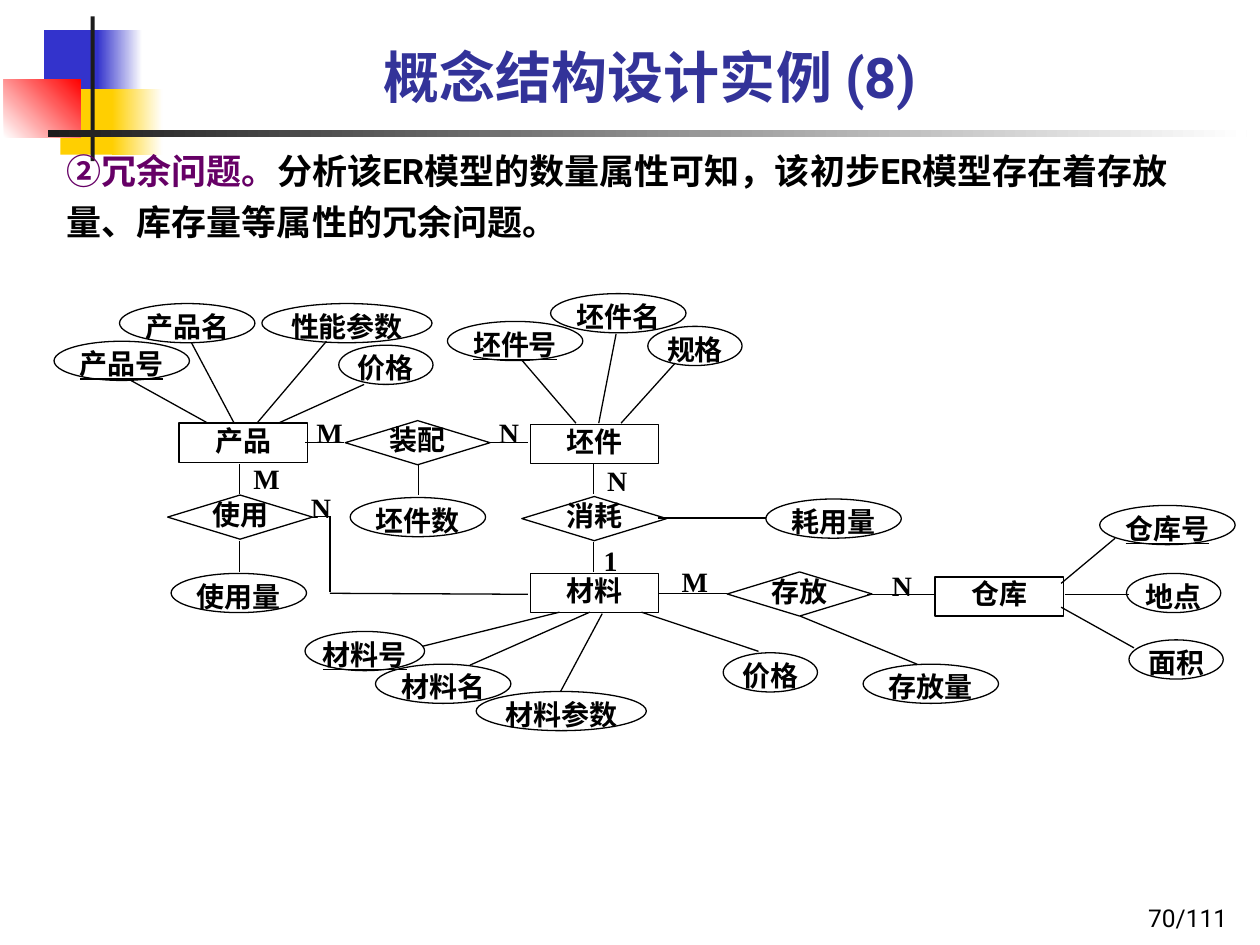
from pptx import Presentation
from pptx.dml.color import RGBColor
from pptx.enum.shapes import MSO_CONNECTOR, MSO_SHAPE
from pptx.enum.text import MSO_ANCHOR, MSO_AUTO_SIZE, PP_ALIGN
from pptx.oxml.ns import qn
from pptx.util import Cm, Pt
from lxml.etree import SubElement

BLACK = RGBColor(0x00, 0x00, 0x00)
WHITE = RGBColor(0xFF, 0xFF, 0xFF)
CHARCOAL = RGBColor(0x1C, 0x1C, 0x1C)
BLUE = RGBColor(0x33, 0x33, 0xCC)
YELLOW = RGBColor(0xFF, 0xCF, 0x01)
RED = RGBColor(0xFF, 0x00, 0x00)
NAVY = RGBColor(0x33, 0x33, 0x99)
PURPLE = RGBColor(0x66, 0x00, 0x66)
SANS, SERIF = "Roboto", "Times New Roman"

# Corner ornament: left, top, width, height, colours, angle (cm, degrees)
ORNAMENT = [
    (0.89, 0.61, 1.22, 1.32, [BLUE], 0),
    (1.96, 0.61, 0.91, 1.32, [BLUE, WHITE], 0),
    (1.22, 1.8, 1.17, 1.32, [YELLOW], 0),
    (2.26, 1.8, 1.02, 1.32, [YELLOW, WHITE], 0),
    (0.08, 1.6, 1.55, 1.17, [WHITE, RED], 45),
    (1.83, 0.33, 0.08, 2.92, [CHARCOAL], 0),
    (0.97, 2.62, 24.16, 0.15, [CHARCOAL, WHITE], 0),
]

# ER diagram parts: text, left, top (cm)
ENTITIES = [("产品", 3.61, 8.53), ("坯件", 10.69, 8.56),
            ("材料", 10.69, 11.56), ("仓库", 18.85, 11.63)]
RELATIONS = [("装配", 6.96, 8.48), ("使用", 3.38, 9.98),
             ("消耗", 10.52, 10.01), ("存放", 14.66, 11.53)]
ATTRIBUTES = [
    ("产品号", 1.09, 6.88), ("产品名", 2.41, 6.12),
    ("性能参数", 5.28, 6.12), ("价格", 6.83, 6.96),
    ("坯件号", 9.02, 6.48), ("坯件名", 11.1, 5.92), ("规格", 13.06, 6.58),
    ("坯件数", 7.06, 10.03), ("使用量", 3.45, 11.56),
    ("耗用量", 15.44, 10.06), ("存放量", 17.4, 13.39),
    ("材料号", 6.15, 12.73), ("材料名", 7.57, 13.39),
    ("材料参数", 9.6, 13.94), ("价格", 14.58, 13.16),
    ("仓库号", 22.17, 10.19), ("地点", 22.71, 11.56), ("面积", 22.76, 12.9),
]
KEYS = {"产品号", "坯件号", "材料号", "仓库号"}
ATTRIBUTE_WIDTHS = {2: 1.9, 3: 2.73, 4: 3.43}
CARDINALITIES = [
    ("M", 6.38, 8.38), ("N", 10.06, 8.38), ("M", 5.11, 9.3), ("N", 6.27, 9.88),
    ("N", 12.24, 9.35), ("1", 12.17, 10.95),
    ("M", 13.74, 11.38), ("N", 17.98, 11.46),
]

# Lines: x1, y1, x2, y2 (cm)
LINKS = [
    # Entities to relations
    (6.15, 8.92, 6.93, 8.92), (9.88, 8.92, 10.64, 8.92),
    (4.83, 9.35, 4.83, 9.96), (11.96, 9.35, 11.96, 9.96),
    (11.96, 10.92, 11.96, 11.53), (6.32, 10.41, 6.65, 10.41),
    (6.65, 10.41, 6.65, 11.94), (6.65, 11.96, 10.64, 11.98),
    (13.28, 11.96, 14.66, 11.96), (17.48, 11.99, 18.85, 11.99),
    # Relations to attributes
    (8.43, 9.37, 8.43, 9.98), (4.83, 10.9, 4.83, 11.53),
    (13.26, 10.44, 15.44, 10.44), (16.13, 12.42, 18.49, 13.39),
    # Entities to attributes
    (2.64, 7.67, 4.19, 8.53), (3.86, 6.91, 4.72, 8.53),
    (6.58, 6.88, 5.18, 8.53), (7.34, 7.75, 5.61, 8.53),
    (10.52, 7.26, 11.61, 8.53), (12.42, 6.73, 12.07, 8.53),
    (13.61, 7.32, 12.52, 8.53),
    (11.28, 12.34, 8.51, 13.03), (11.89, 12.34, 9.47, 13.41),
    (12.14, 12.37, 11.3, 13.94), (12.93, 12.34, 15.29, 13.13),
    (21.39, 11.76, 22.48, 10.85), (21.46, 11.99, 22.76, 11.99),
    (21.39, 12.24, 22.86, 13.06),
]


def place(sp, left, top, width, height):
    sp.left, sp.top, sp.width, sp.height = map(Cm, (left, top, width, height))


def style(r, size, name, color, bold=True):
    r.font.size, r.font.name, r.font.bold = Pt(size), name, bold
    r.font.color.rgb = color


def add_ornament(s, left, top, width, height, colors, angle):
    sp = s.shapes.add_shape(MSO_SHAPE.RECTANGLE, Cm(left), Cm(top), Cm(width), Cm(height))
    sp.shadow.inherit = False
    sp.line.fill.background()
    if len(colors) == 1:
        sp.fill.solid()
        sp.fill.fore_color.rgb = colors[0]
        return
    sp.fill.gradient()
    sp.fill.gradient_angle = angle
    for stop, color, position in zip(sp.fill.gradient_stops, colors, (0, 1)):
        stop.color.rgb, stop.position = color, position


def set_label(sp, text, align):
    tf = sp.text_frame
    tf.text = text
    tf.word_wrap = False
    tf.vertical_anchor = MSO_ANCHOR.TOP
    tf.margin_left = tf.margin_right = tf.margin_top = tf.margin_bottom = 0
    p = tf.paragraphs[0]
    p.alignment = align
    style(p.runs[0], 16, SERIF, BLACK)
    return p


def add_node(s, kind, text, left, top, width, height, filled=True):
    sp = s.shapes.add_shape(kind, Cm(left), Cm(top), Cm(width), Cm(height))
    sp.shadow.inherit = False
    if filled:
        sp.fill.solid()
        sp.fill.fore_color.rgb = WHITE
    else:
        sp.fill.background()
    sp.line.color.rgb = BLACK
    sp.line.width = Pt(0.75)
    return set_label(sp, text, PP_ALIGN.CENTER)


def add_attribute(s, text, left, top):
    width = 2.41 if text == "材料号" else ATTRIBUTE_WIDTHS[len(text)]
    p = add_node(s, MSO_SHAPE.OVAL, text, left, top, width, 0.79, filled=False)
    if text in KEYS:
        p.runs[0].font.underline = True


def add_link(s, x1, y1, x2, y2):
    c = s.shapes.add_connector(MSO_CONNECTOR.STRAIGHT, Cm(x1), Cm(y1), Cm(x2), Cm(y2))
    c.line.color.rgb = BLACK
    c.line.width = Pt(0.75)
    SubElement(c._element.spPr, qn("a:effectLst"))


def fill_title(sp):
    place(sp, 2.29, 0.13, 21.64, 2.21)
    tf = sp.text_frame
    tf.text = "概念结构设计实例 (8)"
    tf.auto_size = MSO_AUTO_SIZE.NONE
    tf.vertical_anchor = MSO_ANCHOR.BOTTOM
    p = tf.paragraphs[0]
    p.alignment = PP_ALIGN.CENTER
    style(p.runs[0], 32, SANS, NAVY)


def fill_body(sp):
    place(sp, 1.09, 2.72, 23.01, 2.39)
    tf = sp.text_frame
    tf.auto_size = MSO_AUTO_SIZE.NONE
    p = tf.paragraphs[0]
    pPr = p._p.get_or_add_pPr()
    pPr.set("marL", "0")
    pPr.set("indent", "0")
    SubElement(pPr, qn("a:buNone"))
    p.line_spacing, p.space_before = 1.2, Pt(0)
    for text, color in (
        ("②冗余问题。", PURPLE),
        ("分析该ER模型的数量属性可知，该初步ER模型存在着存放量、库存量等属性的冗余问题。", BLACK),
    ):
        r = p.add_run()
        r.text = text
        style(r, 20, SANS, color)


def add_page_number(s):
    sp = s.shapes.add_textbox(Cm(19.71), Cm(17.65), Cm(5.28), Cm(1.27))
    tf = sp.text_frame
    tf.text = "70/111"
    tf.word_wrap = True
    tf.vertical_anchor = MSO_ANCHOR.BOTTOM
    p = tf.paragraphs[0]
    p.alignment = PP_ALIGN.RIGHT
    style(p.runs[0], 14, SANS, BLACK, bold=False)


def main():
    prs = Presentation()
    prs.slide_width, prs.slide_height = Cm(25.4), Cm(19.05)
    s = prs.slides.add_slide(prs.slide_layouts[1])

    # Ornament behind the title and body
    for item in ORNAMENT:
        add_ornament(s, *item)
    title, body = s.shapes.title, s.placeholders[1]
    fill_title(title)
    fill_body(body)
    for sp in (body, title):
        s.shapes._spTree.append(sp._element)
    add_page_number(s)

    # ER diagram
    for text, left, top in ENTITIES:
        add_node(s, MSO_SHAPE.RECTANGLE, text, left, top, 2.59, 0.79)
    for text, left, top in RELATIONS:
        p = add_node(s, MSO_SHAPE.DIAMOND, text, left, top, 2.92, 0.89)
        p.line_spacing = 0.72
    for item in ATTRIBUTES:
        add_attribute(s, *item)
    for item in LINKS:
        add_link(s, *item)
    for text, left, top in CARDINALITIES:
        sp = s.shapes.add_textbox(Cm(left), Cm(top), Cm(0.53), Cm(0.76))
        set_label(sp, text, PP_ALIGN.LEFT)

    prs.save("out.pptx")


if __name__ == "__main__":
    main()
